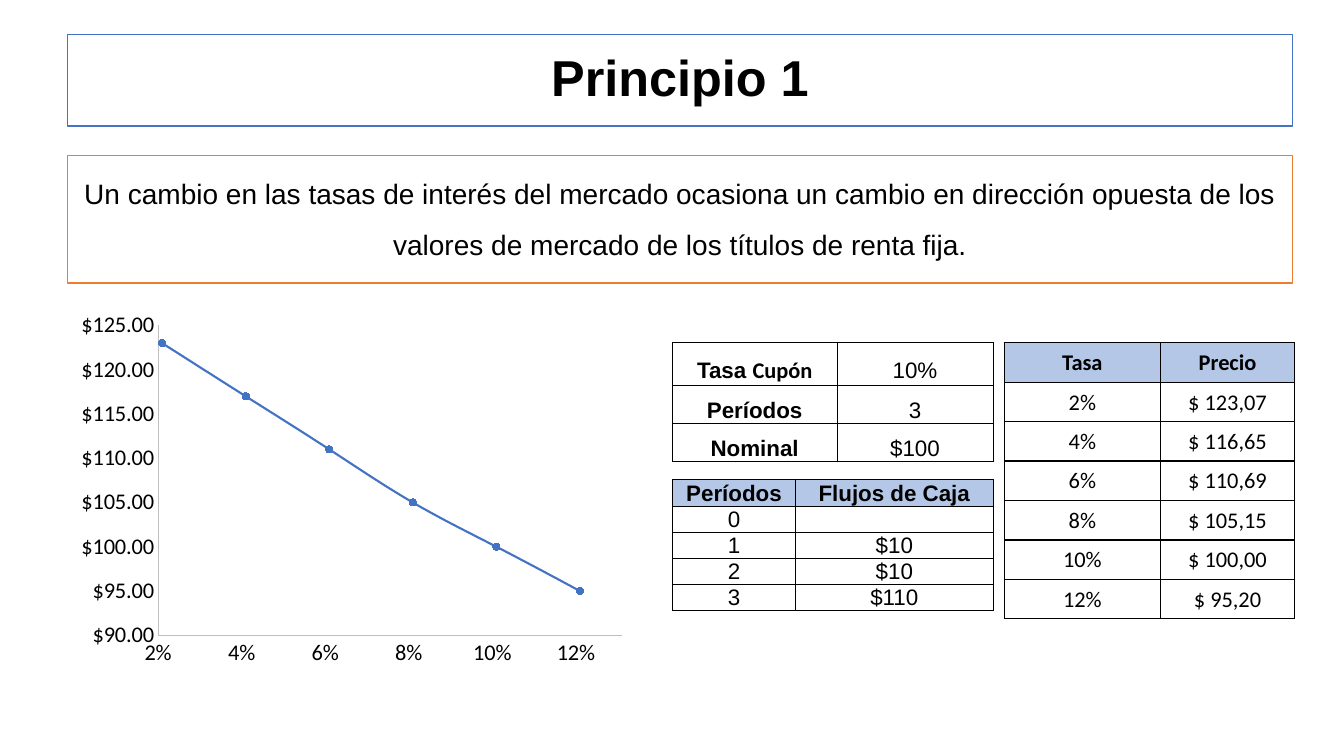
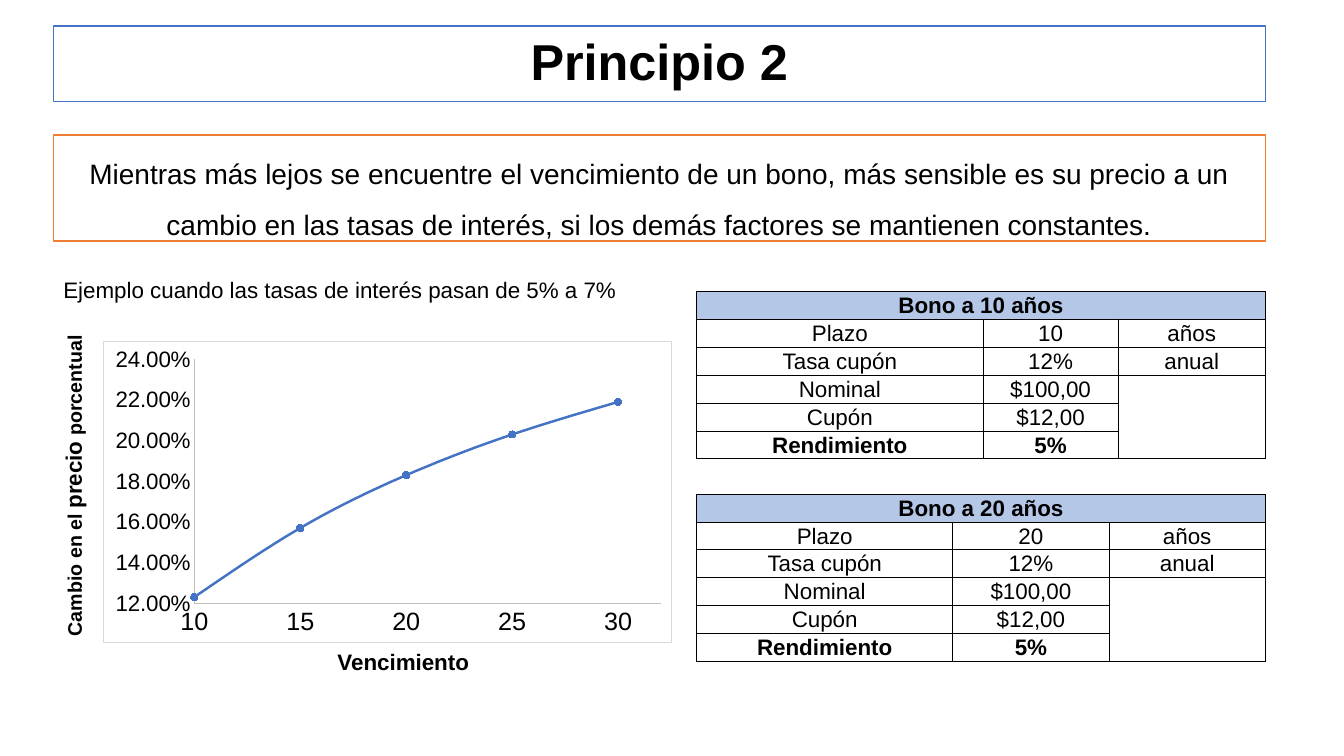
from dataclasses import dataclass

from lxml.etree import SubElement
from pptx import Presentation
from pptx.chart.data import XyChartData
from pptx.dml.color import RGBColor
from pptx.enum.chart import XL_CHART_TYPE, XL_MARKER_STYLE, XL_TICK_MARK
from pptx.enum.shapes import MSO_SHAPE
from pptx.enum.text import MSO_ANCHOR, PP_ALIGN
from pptx.oxml import parse_xml
from pptx.oxml.ns import nsdecls, qn
from pptx.slide import Slide
from pptx.table import Table
from pptx.util import Inches, Pt

BLACK = RGBColor(0x00, 0x00, 0x00)
WHITE = RGBColor(0xFF, 0xFF, 0xFF)
BLUE = RGBColor(0x44, 0x72, 0xC4)
ORANGE = RGBColor(0xED, 0x7D, 0x31)
HEADER = RGBColor(0xB4, 0xC7, 0xE7)
AXIS = RGBColor(0xBF, 0xBF, 0xBF)
FRAME = RGBColor(0xD9, 0xD9, 0xD9)
SANS = "Arial"
BODY = "Calibri"


@dataclass(frozen=True)
class Box:
    left: float
    top: float
    width: float
    height: float

    def emu(self) -> tuple:
        return tuple(Inches(v) for v in (self.left, self.top, self.width, self.height))


@dataclass(frozen=True)
class Grid:
    box: Box
    cols: tuple
    rows: tuple
    cells: tuple
    font: str = SANS
    border: float = 0.5
    spacing: float = 1.0
    header: bool = True
    bold_cols: tuple = ()
    bold_rows: tuple = ()


@dataclass(frozen=True)
class Axis:
    low: float
    high: float
    step: float
    number_format: str
    size: int


@dataclass(frozen=True)
class Curve:
    box: Box
    plot: Box
    points: tuple
    x: Axis
    y: Axis
    font: str
    width: float
    framed: bool = False


@dataclass(frozen=True)
class Label:
    box: Box
    runs: tuple
    bold: bool = True
    align: PP_ALIGN = PP_ALIGN.LEFT
    rotation: int = 0


def style(p, size: float, font: str = SANS, bold: bool = False) -> None:
    p.font.size = Pt(size)
    p.font.name = font
    p.font.bold = bold
    p.font.color.rgb = BLACK


def add_panel(s: Slide, box: Box, text: str, line: RGBColor, size: int,
              bold: bool, spacing: float, anchor: MSO_ANCHOR):
    sp = s.shapes.add_shape(MSO_SHAPE.RECTANGLE, *box.emu())
    sp.shadow.inherit = False
    sp.fill.solid()
    sp.fill.fore_color.rgb = WHITE
    sp.line.color.rgb = line
    sp.line.width = Pt(1)
    tf = sp.text_frame
    tf.word_wrap = True
    tf.vertical_anchor = anchor
    p = tf.paragraphs[0]
    p.text = text
    p.alignment = PP_ALIGN.CENTER
    p.line_spacing = spacing
    style(p, size, bold=bold)
    return p


def add_heading(s: Slide, title: str, title_box: Box, rule: str, rule_box: Box) -> None:
    add_panel(s, title_box, title, BLUE, 36, True, 0.9, MSO_ANCHOR.MIDDLE)
    p = add_panel(s, rule_box, rule, ORANGE, 20, False, 1.5, MSO_ANCHOR.TOP)
    p.space_before = Pt(4)


def add_label(s: Slide, label: Label) -> None:
    sp = s.shapes.add_textbox(*label.box.emu())
    sp.rotation = label.rotation
    tf = sp.text_frame
    tf.word_wrap = True
    p = tf.paragraphs[0]
    p.alignment = label.align
    style(p, 16, bold=label.bold)
    for text, size in label.runs:
        r = p.add_run()
        r.text = text
        r.font.size = Pt(size)


def add_borders(frame, width: float) -> None:
    for tc_pr in frame.element.iter(qn("a:tcPr")):
        for i, side in enumerate(("lnL", "lnR", "lnT", "lnB")):
            ln = parse_xml(f'<a:{side} {nsdecls("a")} w="{Pt(width)}"/>')
            fill = SubElement(ln, qn("a:solidFill"))
            SubElement(fill, qn("a:srgbClr"), val=str(BLACK))
            tc_pr.insert(i, ln)


def add_grid(s: Slide, grid: Grid) -> Table:
    frame = s.shapes.add_table(len(grid.rows), len(grid.cols), *grid.box.emu())
    table = frame.table
    table.first_row = False
    table.horz_banding = False
    for col, width in zip(table.columns, grid.cols):
        col.width = Inches(width)
    for row, height in zip(table.rows, grid.rows):
        row.height = Inches(height)
    for i, texts in enumerate(grid.cells):
        for j, text in enumerate(texts):
            cell = table.cell(i, j)
            is_header = grid.header and i == 0
            cell.margin_left = cell.margin_right = cell.margin_top = Inches(0.01)
            cell.margin_bottom = 0
            cell.vertical_anchor = MSO_ANCHOR.MIDDLE
            if is_header:
                cell.fill.solid()
                cell.fill.fore_color.rgb = HEADER
            else:
                cell.fill.background()
            p = cell.text_frame.paragraphs[0]
            p.text = text
            p.alignment = PP_ALIGN.CENTER
            p.line_spacing = grid.spacing
            style(p, 16, grid.font, is_header or i in grid.bold_rows or j in grid.bold_cols)
    add_borders(frame, grid.border)
    return table


def add_bond(s: Slide, years: int, top: float, cols: tuple) -> None:
    cells = (
        (f"Bono a {years} años", "", ""),
        ("Plazo", str(years), "años"),
        ("Tasa cupón", "12%", "anual"),
        ("Nominal", "$100,00", ""),
        ("Cupón", "$12,00", ""),
        ("Rendimiento", "5%", ""),
    )
    height = 1.66
    rows = (height / len(cells),) * len(cells)
    table = add_grid(s, Grid(Box(6.91, top, 5.65, height), cols, rows, cells, bold_rows=(5,)))
    table.cell(0, 0).merge(table.cell(0, 2))
    table.cell(3, 2).merge(table.cell(5, 2))


def style_axis(axis, scale: Axis, font: str) -> None:
    axis.minimum_scale = scale.low
    axis.maximum_scale = scale.high
    axis.major_unit = scale.step
    axis.has_major_gridlines = False
    axis.major_tick_mark = axis.minor_tick_mark = XL_TICK_MARK.NONE
    axis.format.line.color.rgb = AXIS
    axis.format.line.width = Pt(0.75)
    labels = axis.tick_labels
    labels.number_format = scale.number_format
    labels.number_format_is_linked = False
    labels.font.size = Pt(scale.size)
    labels.font.name = font
    labels.font.color.rgb = BLACK


def add_curve(s: Slide, curve: Curve) -> None:
    data = XyChartData()
    points = data.add_series("Series 1")
    for x, y in curve.points:
        points.add_data_point(x, y)
    chart = s.shapes.add_chart(XL_CHART_TYPE.XY_SCATTER_SMOOTH, *curve.box.emu(), data).chart
    chart.has_legend = False
    chart.has_title = False
    chart.font.name = curve.font
    chart.font.size = Pt(16)
    chart.font.color.rgb = BLACK
    style_axis(chart.category_axis, curve.x, curve.font)
    style_axis(chart.value_axis, curve.y, curve.font)
    plot = chart.plots[0]
    plot.vary_by_categories = False
    series = plot.series[0]
    series.format.line.color.rgb = BLUE
    series.format.line.width = Pt(curve.width)
    series.marker.style = XL_MARKER_STYLE.CIRCLE
    series.marker.size = 5
    series.marker.format.fill.solid()
    series.marker.format.fill.fore_color.rgb = BLUE
    series.marker.format.line.color.rgb = BLUE
    for smooth in chart.element.iter(qn("c:smooth")):
        smooth.set("val", "1")
    place_plot(chart, curve.plot)
    frame_chart(chart, curve.framed)


def place_plot(chart, plot: Box) -> None:
    area = next(chart.element.iter(qn("c:plotArea")))
    for old in area.findall(qn("c:layout")):
        area.remove(old)
    layout = parse_xml(f'<c:layout {nsdecls("c")}/>')
    manual = SubElement(layout, qn("c:manualLayout"))
    settings = (("layoutTarget", "inner"), ("xMode", "edge"), ("yMode", "edge"),
                ("x", plot.left), ("y", plot.top), ("w", plot.width), ("h", plot.height))
    for name, value in settings:
        SubElement(manual, qn(f"c:{name}"), val=str(value))
    area.insert(0, layout)


def frame_chart(chart, framed: bool) -> None:
    def paint(color: RGBColor) -> str:
        if not framed:
            return "<a:noFill/>"
        return f'<a:solidFill><a:srgbClr val="{color}"/></a:solidFill>'

    chart.element.find(qn("c:chart")).addnext(parse_xml(
        f'<c:spPr {nsdecls("c", "a")}>{paint(WHITE)}'
        f'<a:ln w="{Pt(0.75)}">{paint(FRAME)}</a:ln></c:spPr>'))


def build_principle_1(s: Slide) -> None:
    add_heading(s, "Principio 1", Box(0.67, 0.34, 12.15, 0.91),
                "Un cambio en las tasas de interés del mercado ocasiona un cambio en dirección "
                "opuesta de los valores de mercado de los títulos de renta fija.",
                Box(0.67, 1.54, 12.15, 1.27))
    terms = add_grid(s, Grid(
        Box(6.67, 3.4, 3.18, 1.18), (1.63, 1.55), (0.42, 0.38, 0.38),
        (("Tasa ", "10%"), ("Períodos", "3"), ("Nominal", "$100")),
        spacing=1.5, header=False, bold_cols=(0,)))
    r = terms.cell(0, 0).text_frame.paragraphs[0].add_run()
    r.text = "Cupón"
    r.font.name = BODY
    add_grid(s, Grid(
        Box(6.67, 4.76, 3.18, 1.3), (1.22, 1.96), (0.26,) * 5,
        (("Períodos", "Flujos de Caja"), ("0", ""), ("1", "$10"), ("2", "$10"), ("3", "$110"))))
    add_curve(s, Curve(
        Box(0.67, 3.01, 5.61, 3.66), Box(0.16, 0.06, 0.82, 0.84),
        ((0.02, 123), (0.04, 117), (0.06, 111), (0.08, 105), (0.1, 100), (0.12, 95)),
        Axis(0.019, 0.13, 0.02, "0%", 16), Axis(90, 125, 5, '"$"#,##0.00', 16), BODY, 1.5))
    prices = (("Tasa", "Precio"), ("2%", "$ 123,07"), ("4%", "$ 116,65"), ("6%", "$ 110,69"),
              ("8%", "$ 105,15"), ("10%", "$ 100,00"), ("12%", "$ 95,20"))
    height = 2.74
    add_grid(s, Grid(
        Box(9.96, 3.4, 2.88, height), (1.55, 1.33), (height / len(prices),) * len(prices),
        prices, font=BODY, border=1))


def build_principle_2(s: Slide) -> None:
    add_heading(s, "Principio 2", Box(0.53, 0.26, 12.02, 0.75),
                "Mientras más lejos se encuentre el vencimiento de un bono, más sensible es su precio "
                "a un cambio en las tasas de interés, si los demás factores se mantienen constantes.",
                Box(0.53, 1.34, 12.02, 1.05))
    for label in (
        Label(Box(-1.11, 4.39, 3.67, 0.37),
              (("Cambio en el ", 14), ("precio", 16), (" porcentual", 14)), rotation=270),
        Label(Box(2.56, 6.38, 2.88, 0.37), (("Vencimiento", 16),), align=PP_ALIGN.CENTER),
        Label(Box(0.53, 2.69, 6.45, 0.37),
              (("Ejemplo cuando las tasas de interés pasan de 5% a 7%", 16),), bold=False),
    ):
        add_label(s, label)
    add_curve(s, Curve(
        Box(1.02, 3.38, 5.65, 3), Box(0.16, 0.06, 0.82, 0.81),
        ((10, 0.123), (15, 0.157), (20, 0.183), (25, 0.203), (30, 0.219)),
        Axis(10, 32, 5, "General", 18), Axis(0.12, 0.24, 0.02, "0.00%", 16), SANS, 1.75, True))
    add_bond(s, 10, 2.89, (2.84, 1.34, 1.46))
    add_bond(s, 20, 4.9, (2.54, 1.55, 1.55))


prs = Presentation()
prs.slide_width = Inches(13.33)
prs.slide_height = Inches(7.5)
for build in (build_principle_1, build_principle_2):
    build(prs.slides.add_slide(prs.slide_layouts[6]))
prs.save("out.pptx")
